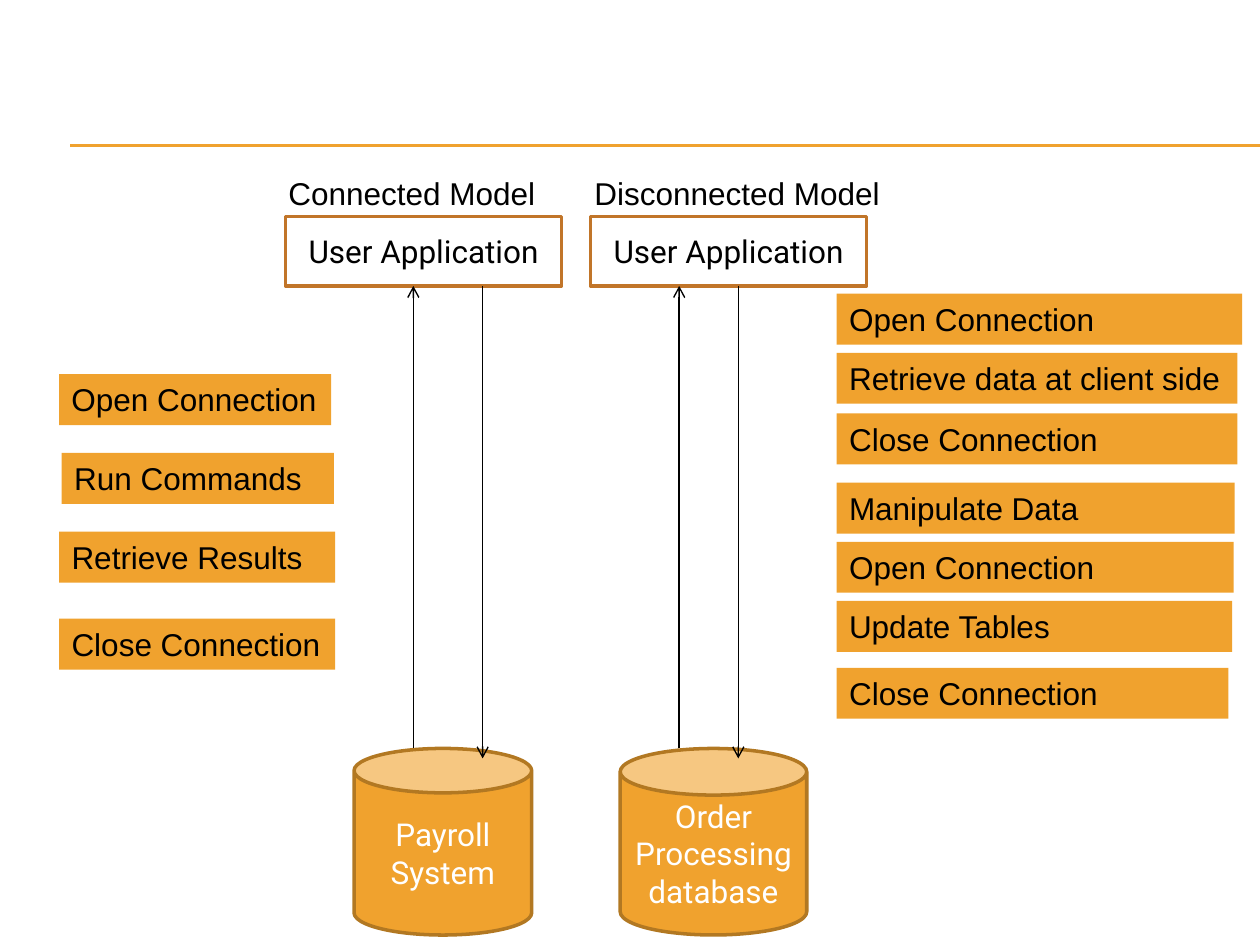
from lxml import etree
from pptx import Presentation
from pptx import util as u
from pptx.dml import color
from pptx.enum import shapes, text
from pptx.oxml import ns

# Content: each model has its heading, application, database and arrow places
GOLD, BLACK, WHITE = "F0A22E", "000000", "FFFFFF"
APP = "User Application"
MODELS = [
    {"head": "Connected Model", "head_x": 157.7, "head_w": 157,
     "app_x": 163.2, "store": "Payroll System", "can_x": 202.3, "can_w": 101.5,
     "up_x": 236.2, "down_x": 275.8},
    {"head": "Disconnected Model", "head_x": 332.6, "head_w": 179.3,
     "app_x": 337.5, "store": "Order Processing database", "can_x": 354.4, "can_w": 106.6,
     "up_x": 388.1, "down_x": 421.9},
]
# Steps: words, left, top, width
STEPS = [
    ("Open Connection", 33.8, 213.8, 155.5),
    ("Run Commands", 35.3, 258.8, 155.5),
    ("Retrieve Results", 33.8, 303.8, 157.7),
    ("Close Connection", 33.8, 353.5, 157.7),
    ("Open Connection", 478.1, 167.8, 231.8),
    ("Retrieve data at client side", 478.1, 201.6, 229),
    ("Close Connection", 478.1, 236.2, 229),
    ("Manipulate Data", 478.1, 275.8, 227.5),
    ("Open Connection", 478.1, 309.6, 226.8),
    ("Update Tables", 478.1, 343.4, 226.1),
    ("Close Connection", 478.1, 381.6, 223.9),
]
HEAD_Y, APP_Y, APP_W, APP_H = 95.8, 123.8, 157.7, 39.6
CAN_Y, CAN_H, ROW_H = 427.7, 106.6, 29.1
APP_END = APP_Y + APP_H

deck = Presentation()
deck.slide_width, deck.slide_height = u.Pt(720), u.Pt(540)
page = deck.slides.add_slide(deck.slide_layouts[6])


def paint(code):
    return color.RGBColor.from_string(code)


def write(item, words, font, ink, align, anchor, wrap=True):
    frame = item.text_frame
    frame.text = words
    frame.word_wrap = wrap
    frame.vertical_anchor = anchor
    para = frame.paragraphs[0]
    para.alignment = align
    face = para.runs[0].font
    face.name, face.size = font, u.Pt(18)
    face.color.rgb = paint(ink)


def block(kind, box, fill, edge=None):
    item = page.shapes.add_shape(kind, *map(u.Pt, box))
    item.shadow.inherit = False
    item.fill.solid()
    item.fill.fore_color.rgb = paint(fill)
    if edge:
        item.line.color.rgb = paint(edge)
        item.line.width = u.Pt(2)
    else:
        item.line.fill.background()
    return item


def line(x1, y1, x2, y2, ink, width, arrow=False):
    item = page.shapes.add_connector(
        shapes.MSO_CONNECTOR.STRAIGHT, *map(u.Pt, (x1, y1, x2, y2)))
    item.line.color.rgb = paint(ink)
    item.line.width = u.Pt(width)
    if arrow:
        etree.SubElement(item.line._get_or_add_ln(), ns.qn("a:tailEnd"), type="arrow")
    etree.SubElement(item._element.spPr, ns.qn("a:effectLst"))


RECT, CAN = shapes.MSO_SHAPE.RECTANGLE, shapes.MSO_SHAPE.CAN
LEFT, MID = text.PP_ALIGN.LEFT, text.PP_ALIGN.CENTER
TOP, HALF = text.MSO_ANCHOR.TOP, text.MSO_ANCHOR.MIDDLE

# Double rule under the title area
for y in (82.8, 83.5):
    line(40.3, y, 720, y, GOLD, 0.75)

# Applications, databases, arrows and headings
for m in MODELS:
    app = block(RECT, (m["app_x"], APP_Y, APP_W, APP_H), WHITE, "C17529")
    write(app, APP, "Roboto", BLACK, MID, HALF)
    can = block(CAN, (m["can_x"], CAN_Y, m["can_w"], CAN_H), GOLD, "B27822")
    write(can, m["store"], "Roboto", WHITE, MID, HALF)
    line(m["up_x"], CAN_Y, m["up_x"], APP_END, BLACK, 0.79, True)
    line(m["down_x"], APP_END, m["down_x"], 433.4, BLACK, 0.79, True)
    head = page.shapes.add_textbox(
        *map(u.Pt, (m["head_x"], HEAD_Y, m["head_w"], ROW_H)))
    write(head, m["head"], "Arial", BLACK, LEFT, TOP, False)

# Steps on both sides
for words, x, y, w in STEPS:
    step = block(RECT, (x, y, w, ROW_H), GOLD)
    write(step, words, "Arial", BLACK, LEFT, TOP)

deck.save("out.pptx")
